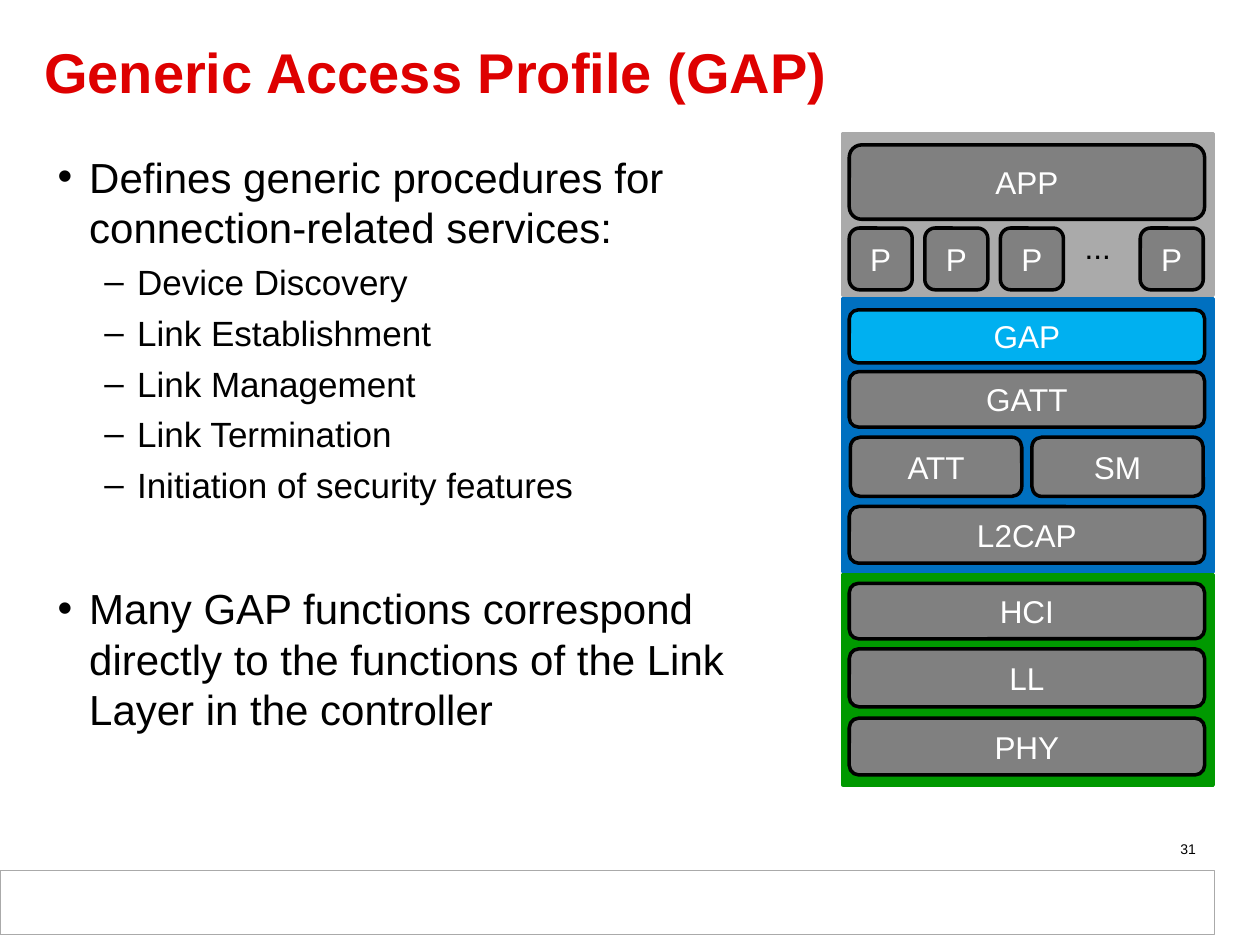
from lxml.etree import SubElement
from pptx import Presentation
from pptx.dml.color import RGBColor
from pptx.enum.shapes import MSO_SHAPE as Shape
from pptx.enum.text import MSO_ANCHOR as Anchor, PP_ALIGN as Align
from pptx.oxml.ns import qn
from pptx.util import Emu, Pt

WHITE = RGBColor(0xFF, 0xFF, 0xFF)
BLACK = RGBColor(0x00, 0x00, 0x00)
RED = RGBColor(0xDE, 0x00, 0x00)
SILVER = RGBColor(0xAA, 0xAA, 0xAA)
GRAY = RGBColor(0x80, 0x80, 0x80)
BLUE = RGBColor(0x00, 0x70, 0xC0)
SKY = RGBColor(0x00, 0xB0, 0xF0)
GREEN = RGBColor(0x00, 0x99, 0x00)

SCALE = 9144


def px(*vals):
    return [Emu(val * SCALE) for val in vals]


class Deck:
    """Holds the style and the current slide, and draws each kind of element."""

    face = "Arial"

    def __init__(self, wide, high):
        self.prs = Presentation()
        self.prs.slide_width, self.prs.slide_height = px(wide, high)
        self.slide = self.prs.slides.add_slide(self.prs.slide_layouts[5])

    def run(self, par, text, size, color, bold=False):
        run = par.add_run()
        run.text = text
        font = run.font
        font.name, font.size, font.bold = self.face, Pt(size), bold
        font.color.rgb = color

    def title(self, text, box):
        shape = self.slide.shapes.title
        shape.left, shape.top, shape.width, shape.height = px(*box)
        frame = shape.text_frame
        frame.vertical_anchor = Anchor.MIDDLE
        par = frame.paragraphs[0]
        par.alignment = Align.LEFT
        par.line_spacing = 0.85
        self.run(par, text, 32, RED, True)

    def frame(self, box):
        frame = self.slide.shapes.add_textbox(*px(*box)).text_frame
        frame.word_wrap = True
        return frame

    def label(self, text, box, size, align=Align.LEFT):
        par = self.frame(box).paragraphs[0]
        par.alignment = align
        self.run(par, text, size, BLACK)

    def bullets(self, items, box):
        frame = self.frame(box)
        for num, (level, text, gap) in enumerate(items):
            par = frame.add_paragraph() if num else frame.paragraphs[0]
            mark, left, hang, size = (("•", 25, 25, 24), ("–", 63, 26, 20))[level]
            par.level = level
            props = par._p.get_or_add_pPr()
            props.set("marL", str(left * SCALE))
            props.set("indent", str(-hang * SCALE))
            SubElement(props, qn("a:buFont")).set("typeface", self.face)
            SubElement(props, qn("a:buChar")).set("char", mark)
            par.space_before = Pt(gap)
            self.run(par, text, size, BLACK)

    def rect(self, box, fill, line, weight=2, kind=Shape.RECTANGLE):
        shape = self.slide.shapes.add_shape(kind, *px(*box))
        shape.shadow.inherit = False
        shape.fill.solid()
        shape.fill.fore_color.rgb = fill
        shape.line.color.rgb = line
        shape.line.width = Pt(weight)
        return shape

    def block(self, text, box, fill=GRAY):
        shape = self.rect(box, fill, BLACK, kind=Shape.ROUNDED_RECTANGLE)
        frame = shape.text_frame
        frame.vertical_anchor = Anchor.MIDDLE
        par = frame.paragraphs[0]
        par.alignment = Align.CENTER
        self.run(par, text, 18, WHITE)


def main():
    deck = Deck(1000, 750)
    deck.rect((0, 691, 964, 51), WHITE, SILVER, 0.75)
    deck.title("Generic Access Profile (GAP)", (25, 16, 925, 89))
    subs = ("Device Discovery", "Link Establishment", "Link Management",
            "Link Termination", "Initiation of security features")
    deck.bullets(
        [(0, "Defines generic procedures for connection-related services:", 0)]
        + [(1, sub, 5) for sub in subs]
        + [(0, "Many GAP functions correspond directly to the functions of "
               "the Link Layer in the controller", 44)],
        (36, 115, 557, 541))
    deck.label("31", (726, 662, 233, 23), 8, Align.RIGHT)

    for top, high, color in ((106, 128, SILVER), (237, 217, BLUE), (456, 167, GREEN)):
        deck.rect((669, top, 294, high), color, color)

    rows = (("APP", 115, 59, GRAY), ("GAP", 246, 42, SKY), ("GATT", 295, 44, GRAY),
            ("L2CAP", 402, 45, GRAY), ("HCI", 463, 44, GRAY),
            ("LL", 515, 46, GRAY), ("PHY", 570, 45, GRAY))
    for text, top, high, fill in rows:
        deck.block(text, (674, top, 282, high), fill)
    for left in (674, 734, 794, 905):
        deck.block("P", (left, 181, 50, 49))
    deck.label("...", (851, 176, 59, 44), 18)
    for text, left in (("ATT", 675), ("SM", 819)):
        deck.block(text, (left, 347, 136, 47))

    deck.prs.save("out.pptx")


if __name__ == "__main__":
    main()
